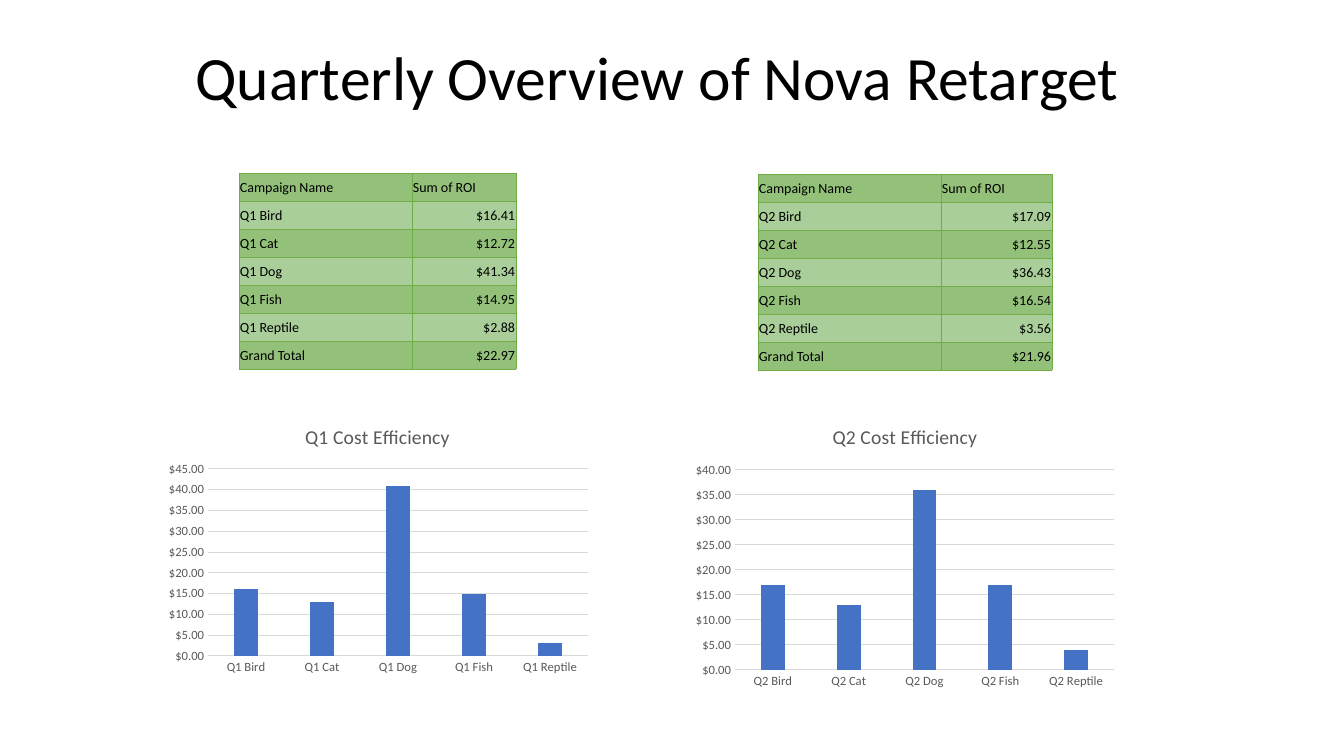
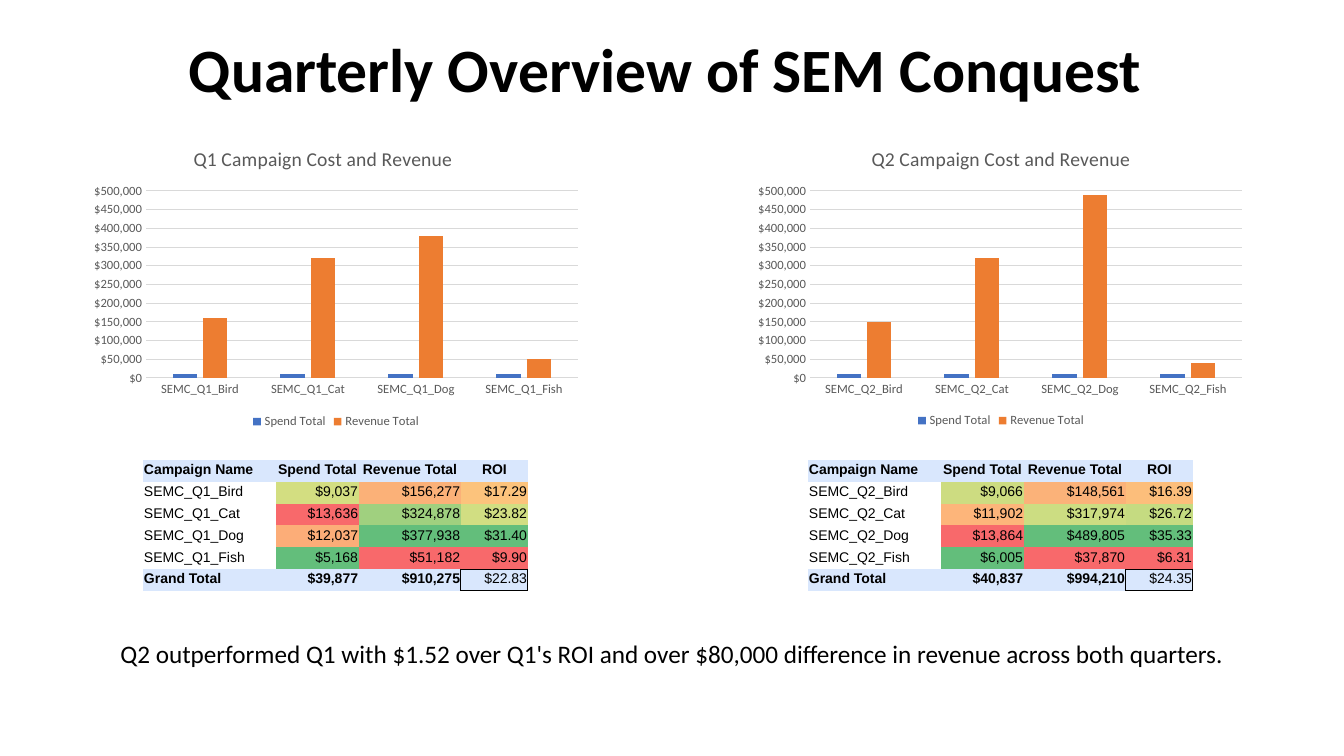
"""Builds two quarterly overview slides with tables and column charts."""
from lxml import etree
from pptx import Presentation
from pptx.chart.data import CategoryChartData as Data
from pptx.dml.color import RGBColor
from pptx.enum.chart import XL_CHART_TYPE as Kind, XL_LEGEND_POSITION as Side, XL_TICK_MARK as Tick
from pptx.enum.text import MSO_ANCHOR as Anchor, PP_ALIGN as Align
from pptx.oxml.ns import qn
from pptx.util import Pt

SCALE = 914400 / 100.8
BLACK, GRAY, RULE, GREEN, HEAD = "000000", "595959", "D9D9D9", "70AD47", "D9E7FD"
BANDS = ["93C17A", "A9CE99"]
BARS = ["4472C4", "ED7D31"]
PLAIN = "{2D5ABB26-0587-4C30-8999-92F81FD0307C}"
rgb = RGBColor.from_string


def px(*sizes):
    """Turn pixels into EMU."""
    return [round(size * SCALE) for size in sizes]


def style(font, size, color=BLACK, face="Calibri", bold=False):
    """Set the look of a font."""
    font.size, font.name, font.bold = Pt(size), face, bold
    font.color.rgb = rgb(color)


ROI = ["Campaign Name", "Sum of ROI"]
COST = ["Campaign Name", "Spend Total", "Revenue Total", "ROI"]

slides = [
    {
        "texts": [("Quarterly Overview of Nova Retarget", (78, 8, 1159, 146), 44, False)],
        "face": "Calibri", "row": 28, "foot": 5, "heads": ROI, "series": 1, "heat": False,
        "form": '"$"#,##0.00', "step": 5, "digits": 0,
        "panels": [
            {
                "title": "Q1 Cost Efficiency", "top": 45,
                "chart": (159, 409, 437, 271), "plot": (208, 469, 380, 187),
                "spot": (239, 173), "cols": (173, 104),
                "rows": [
                    ("Q1 Bird", "$16.41"),
                    ("Q1 Cat", "$12.72"),
                    ("Q1 Dog", "$41.34"),
                    ("Q1 Fish", "$14.95"),
                    ("Q1 Reptile", "$2.88"),
                    ("Grand Total", "$22.97"),
                ],
            },
            {
                "title": "Q2 Cost Efficiency", "top": 40,
                "chart": (687, 409, 436, 285), "plot": (735, 470, 379, 200),
                "spot": (758, 174), "cols": (183, 111),
                "rows": [
                    ("Q2 Bird", "$17.09"),
                    ("Q2 Cat", "$12.55"),
                    ("Q2 Dog", "$36.43"),
                    ("Q2 Fish", "$16.54"),
                    ("Q2 Reptile", "$3.56"),
                    ("Grand Total", "$21.96"),
                ],
            },
        ],
    },
    {
        "texts": [
            ("Quarterly Overview of SEM Conquest", (86, 0, 1159, 146), 44, True),
            ("Q2 outperformed Q1 with $1.52 over Q1's ROI and over $80,000 difference "
             "in revenue across both quarters.", (76, 633, 1192, 40), 18, False),
        ],
        "face": "Arial", "row": 21, "foot": 4, "heads": COST, "series": 2, "heat": True,
        "form": '"$"#,##0', "step": 50000, "digits": -4,
        "panels": [
            {
                "title": "Q1 Campaign Cost and Revenue", "top": 500000, "label": (190, 142),
                "chart": (84, 131, 504, 302), "plot": (146, 191, 432, 187),
                "spot": (143, 460), "cols": (133, 83, 102, 67),
                "rows": [
                    ("SEMC_Q1_Bird", "$9,037", "$156,277", "$17.29"),
                    ("SEMC_Q1_Cat", "$13,636", "$324,878", "$23.82"),
                    ("SEMC_Q1_Dog", "$12,037", "$377,938", "$31.40"),
                    ("SEMC_Q1_Fish", "$5,168", "$51,182", "$9.90"),
                    ("Grand Total", "$39,877", "$910,275", "$22.83"),
                ],
                "fills": [
                    ("D3DE81", "FBB178", "FCC37C"),
                    ("F8696B", "A0D07F", "D1DE82"),
                    ("FCAD78", "63BE7B", "63BE7B"),
                    ("63BE7B", "F8696B", "F8696B"),
                ],
            },
            {
                "title": "Q2 Campaign Cost and Revenue", "top": 500000,
                "chart": (749, 130, 504, 302), "plot": (810, 191, 432, 187),
                "spot": (808, 460), "cols": (133, 83, 102, 67),
                "rows": [
                    ("SEMC_Q2_Bird", "$9,066", "$148,561", "$16.39"),
                    ("SEMC_Q2_Cat", "$11,902", "$317,974", "$26.72"),
                    ("SEMC_Q2_Dog", "$13,864", "$489,805", "$35.33"),
                    ("SEMC_Q2_Fish", "$6,005", "$37,870", "$6.31"),
                    ("Grand Total", "$40,837", "$994,210", "$24.35"),
                ],
                "fills": [
                    ("CDDC81", "FBB279", "FCBE7B"),
                    ("FDB57A", "CCDD82", "C5DB81"),
                    ("F8696B", "63BE7B", "63BE7B"),
                    ("63BE7B", "F8696B", "F8696B"),
                ],
            },
        ],
    },
]

deck = Presentation()
deck.slide_width, deck.slide_height = px(1344, 756)

for page in slides:
    slide = deck.slides.add_slide(deck.slide_layouts[6])
    heat = page["heat"]

    for words, area, size, bold in page["texts"]:
        frame = slide.shapes.add_textbox(*px(*area)).text_frame
        frame.word_wrap = True
        frame.vertical_anchor = Anchor.MIDDLE
        frame.text = words
        para = frame.paragraphs[0]
        para.alignment = Align.CENTER
        para.line_spacing = 0.9 if size == 44 else 1.0
        style(para.runs[0].font, size, bold=bold)

    for panel in page["panels"]:
        body = panel["rows"][:-1]
        data = Data(number_format=page["form"])
        data.categories = [row[0] for row in body]
        for col in range(1, page["series"] + 1):
            nums = [float(row[col].strip("$").replace(",", "")) for row in body]
            data.add_series(page["heads"][col], [int(round(num, page["digits"])) for num in nums])
        area = panel["chart"]
        chart = slide.shapes.add_chart(Kind.COLUMN_CLUSTERED, *px(*area), data).chart
        style(chart.font, 10)
        chart.has_title = True
        chart.chart_title.include_in_layout = False
        chart.chart_title.text_frame.text = panel["title"]
        style(chart.chart_title.text_frame.paragraphs[0].runs[0].font, 14, GRAY)
        chart.has_legend = page["series"] > 1
        if chart.has_legend:
            chart.legend.position = Side.BOTTOM
            chart.legend.include_in_layout = False
            style(chart.legend.font, 9, GRAY)

        plot = chart.plots[0]
        plot.gap_width, plot.overlap, plot.vary_by_categories = 219, -27, False
        for item, color in zip(plot.series, BARS):
            item.format.fill.solid()
            item.format.fill.fore_color.rgb = rgb(color)
        cats, vals = chart.category_axis, chart.value_axis
        for axis in (cats, vals):
            axis.major_tick_mark = axis.minor_tick_mark = Tick.NONE
            style(axis.tick_labels.font, 9, GRAY)
        vals.format.line.fill.background()
        vals.minimum_scale, vals.maximum_scale = 0, panel["top"]
        vals.major_unit = page["step"]
        vals.tick_labels.number_format = page["form"]
        vals.tick_labels.number_format_is_linked = False
        for line in (cats.format.line, vals.major_gridlines.format.line):
            line.color.rgb, line.width = rgb(RULE), Pt(0.75)

        left, top, wide, high = area
        x, y, w, h = panel["plot"]
        modes = {"xMode": "edge", "yMode": "edge"}
        inner = {"layoutTarget": "inner"} | modes
        inner |= {"x": (x - left) / wide, "y": (y - top) / high, "w": w / wide, "h": h / high}
        spots = [("plotArea", 0, inner)]
        if "label" in panel:
            x, y = panel["label"]
            spots.append(("title", 1, modes | {"x": (x - left) / wide, "y": (y - top) / high}))
        for name, place, parts in spots:
            owner = chart._chartSpace.find(".//" + qn("c:" + name))
            for old in owner.findall(qn("c:layout")):
                owner.remove(old)
            layout = etree.Element(qn("c:layout"))
            manual = etree.SubElement(layout, qn("c:manualLayout"))
            for tag, val in parts.items():
                etree.SubElement(manual, qn("c:" + tag)).set("val", str(val))
            owner.insert(place, layout)

        rows = [page["heads"]] + panel["rows"]
        cols = panel["cols"]
        size = sum(cols), page["row"] * len(rows)
        shape = slide.shapes.add_table(len(rows), len(cols), *px(*panel["spot"], *size))
        shape._element.find(".//" + qn("a:tableStyleId")).text = PLAIN
        table = shape.table
        table.first_row = table.horz_banding = False
        for col, wide in zip(table.columns, px(*cols)):
            col.width = wide
        for r, row in enumerate(rows):
            table.rows[r].height = px(page["row"])[0]
            edge = r in (0, len(rows) - 1)
            for c, words in enumerate(row):
                cell = table.cell(r, c)
                last = r == len(rows) - 1 and c == len(row) - 1
                cell.margin_left, cell.margin_right, cell.margin_top = px(1, 1, 1)
                cell.margin_bottom = px(page["foot"])[0]
                cell.vertical_anchor = Anchor.BOTTOM
                cell.text = words
                para = cell.text_frame.paragraphs[0]
                if c:
                    start = Align.CENTER if heat else Align.LEFT
                    para.alignment = Align.RIGHT if r else start
                style(para.runs[0].font, 10, face=page["face"], bold=heat and edge and not last)
                if not heat:
                    color = BANDS[r % 2]
                elif edge:
                    color = HEAD
                else:
                    color = panel["fills"][r - 1][c - 1] if c else None
                if color:
                    cell.fill.solid()
                    cell.fill.fore_color.rgb = rgb(color)
                else:
                    cell.fill.background()
                if last or not heat:
                    props = cell._tc.get_or_add_tcPr()
                    for spot, side in enumerate("LRTB"):
                        line = etree.Element(qn("a:ln" + side), w=str(Pt(0.75 if heat else 0.5)))
                        fill = etree.SubElement(line, qn("a:solidFill"))
                        etree.SubElement(fill, qn("a:srgbClr"), val=BLACK if heat else GREEN)
                        props.insert(spot, line)

deck.save("out.pptx")
